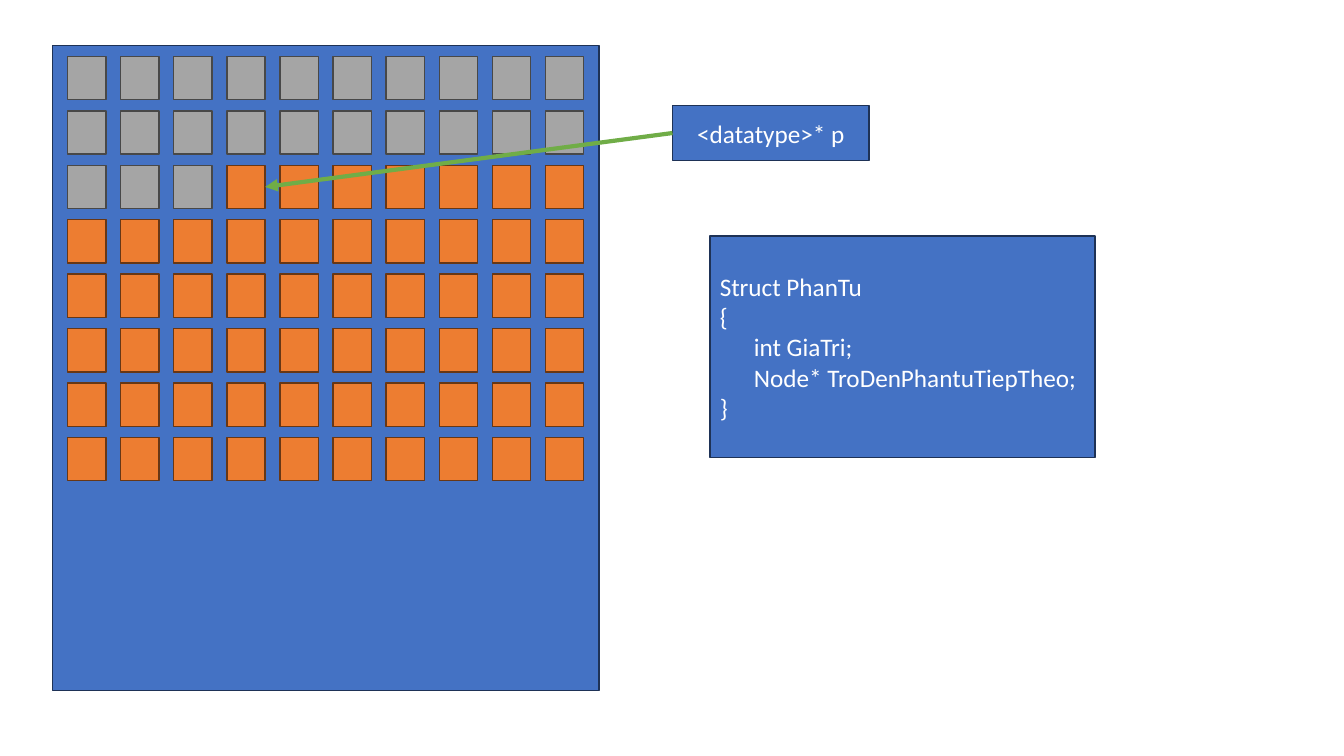
from lxml import etree
from pptx import Presentation, util as u
from pptx.dml.color import RGBColor
from pptx.enum import shapes, text
from pptx.oxml.ns import qn

COLORS = {
    "blue": "4472C4", "blue_edge": "1E3256",
    "gray": "A5A5A5", "gray_edge": "484848",
    "orange": "ED7D31", "orange_edge": "683715",
    "green": "70AD47", "white": "FFFFFF",
}
FONT = "Calibri"
COLS, ROWS, USED = 10, 8, 23
STRUCT = [
    "Struct PhanTu",
    "{",
    "      int GiaTri;",
    "      Node* TroDenPhantuTiepTheo;",
    "}",
]


def rgb(name):
    return RGBColor.from_string(COLORS[name])


def add_rect(s, box, color):
    sp = s.shapes.add_shape(shapes.MSO_SHAPE.RECTANGLE, *map(u.Inches, box))
    sp.shadow.inherit = False
    sp.fill.solid()
    sp.fill.fore_color.rgb = rgb(color)
    sp.line.color.rgb = rgb(color + "_edge")
    sp.line.width = u.Pt(1)
    return sp


def add_memory(s, box):
    left, top, width, height = box
    add_rect(s, box, "blue")
    cell_w, cell_h = 0.38, 0.43
    margin_x, margin_y = 0.15, 0.11
    step_x = (width - 2 * margin_x - cell_w) / (COLS - 1)
    step_y = 0.54
    cells = []
    for i in range(ROWS * COLS):
        row, col = divmod(i, COLS)
        cell = (left + margin_x + col * step_x, top + margin_y + row * step_y,
                cell_w, cell_h)
        cells.append(add_rect(s, cell, "gray" if i < USED else "orange"))
    return cells


def add_text_box(s, box, lines, align):
    sp = add_rect(s, box, "blue")
    tf = sp.text_frame
    tf.word_wrap = True
    tf.vertical_anchor = text.MSO_ANCHOR.MIDDLE
    for i, line in enumerate(lines):
        p = tf.paragraphs[0] if i == 0 else tf.add_paragraph()
        p.alignment = align
        r = p.add_run()
        r.text = line
        r.font.name = FONT
        r.font.size = u.Pt(18)
        r.font.color.rgb = rgb("white")
    return sp


def add_arrow(s, start, end):
    c = s.shapes.add_connector(shapes.MSO_CONNECTOR.STRAIGHT, 0, 0, 0, 0)
    c.begin_connect(start, 1)
    c.end_connect(end, 3)
    c.line.color.rgb = rgb("green")
    c.line.width = u.Pt(3)
    etree.SubElement(c.line._get_or_add_ln(), qn("a:tailEnd"), type="triangle")
    etree.SubElement(c._element.spPr, qn("a:effectLst"))


def main():
    prs = Presentation()
    prs.slide_width, prs.slide_height = u.Inches(13.33), u.Inches(7.5)
    s = prs.slides.add_slide(prs.slide_layouts[6])
    cells = add_memory(s, (0.52, 0.45, 5.42, 6.4))
    pointer = add_text_box(s, (6.67, 1.05, 1.95, 0.54), ["<datatype>* p"],
                           text.PP_ALIGN.CENTER)
    add_arrow(s, pointer, cells[USED])
    add_text_box(s, (7.04, 2.34, 3.82, 2.2), STRUCT, text.PP_ALIGN.LEFT)
    prs.save("out.pptx")


if __name__ == "__main__":
    main()
